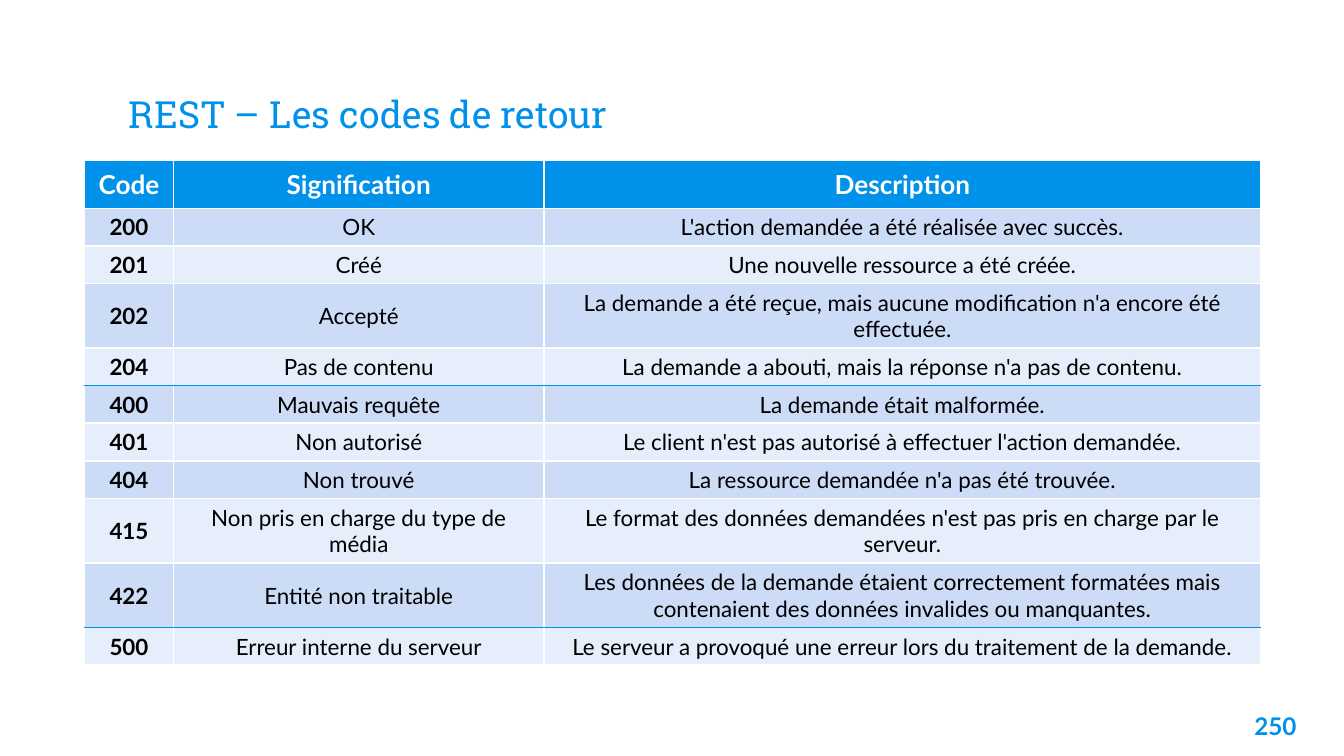
"""Build the slide listing the REST return codes."""
from lxml import etree
from pptx import Presentation
from pptx import util as u
from pptx.dml.color import RGBColor
from pptx.enum import text
from pptx.oxml import ns

BLUE, WHITE, BLACK = "0091EA", "FFFFFF", "000000"
BANDS = ["CCDCF7", "E7EEFB"]
SLIDE_W = 10
SLIDE_H = SLIDE_W * 9 / 16
TITLE = "REST – Les codes de retour"
PAGE = "250"
HEADER = ("Code", "Signification", "Description")
CODES = [
    ("200", "OK", "L'action demandée a été réalisée avec succès."),
    ("201", "Créé", "Une nouvelle ressource a été créée."),
    ("202", "Accepté", "La demande a été reçue, mais aucune modification n'a encore été effectuée."),
    ("204", "Pas de contenu", "La demande a abouti, mais la réponse n'a pas de contenu."),
    ("400", "Mauvais requête", "La demande était malformée."),
    ("401", "Non autorisé", "Le client n'est pas autorisé à effectuer l'action demandée."),
    ("404", "Non trouvé", "La ressource demandée n'a pas été trouvée."),
    ("415", "Non pris en charge du type de média",
     "Le format des données demandées n'est pas pris en charge par le serveur."),
    ("422", "Entité non traitable",
     "Les données de la demande étaient correctement formatées mais "
     "contenaient des données invalides ou manquantes."),
    ("500", "Erreur interne du serveur",
     "Le serveur a provoqué une erreur lors du traitement de la demande."),
]
COL_WIDTHS = [0.66, 2.76, 5.33]
HEADER_H, LINE_H, TWO_LINE_H = 0.36, 0.28, 0.48
TWO_LINE_CODES = {"202", "415", "422"}


def rgb(color):
    return RGBColor.from_string(color)


def style(p, font, size, color, bold=False, align=text.PP_ALIGN.CENTER):
    p.alignment = align
    for r in p.runs:
        r.font.name, r.font.size, r.font.bold = font, u.Pt(size), bold
        r.font.color.rgb = rgb(color)


def add_text(s, box, content, anchor):
    tf = s.shapes.add_textbox(*map(u.Inches, box)).text_frame
    tf.word_wrap, tf.vertical_anchor = True, anchor
    tf.margin_left = tf.margin_right = tf.margin_top = tf.margin_bottom = u.Inches(0.1)
    tf.text = content
    return tf.paragraphs[0]


def set_borders(cell, top, bottom):
    tc_pr = cell._tc.get_or_add_tcPr()
    for side, color in [("L", WHITE), ("R", WHITE), ("T", top), ("B", bottom)]:
        ln = etree.SubElement(tc_pr, ns.qn(f"a:ln{side}"), w=str(u.Pt(1)))
        fill = etree.SubElement(ln, ns.qn("a:solidFill"))
        etree.SubElement(fill, ns.qn("a:srgbClr"), val=color)


def fill_cell(cell, content, fill, margin, size, color, bold):
    cell.fill.solid()
    cell.fill.fore_color.rgb = rgb(fill)
    cell.vertical_anchor = text.MSO_ANCHOR.MIDDLE
    cell.margin_left = cell.margin_right = u.Inches(0.1)
    cell.margin_top = cell.margin_bottom = u.Inches(margin)
    cell.text_frame.text = content
    style(cell.text_frame.paragraphs[0], "Lato", size, color, bold)


def add_codes_table(s):
    rows = [HEADER] + CODES
    heights = [HEADER_H] + [TWO_LINE_H if c[0] in TWO_LINE_CODES else LINE_H for c in CODES]
    box = (0.63, 1.19, sum(COL_WIDTHS), sum(heights))
    table = s.shapes.add_table(len(rows), len(HEADER), *map(u.Inches, box)).table
    for column, width in zip(table.columns, COL_WIDTHS):
        column.width = u.Inches(width)
    families = [row[0][0] for row in rows]
    for i, row in enumerate(rows):
        table.rows[i].height = u.Inches(heights[i])
        top = BLUE if i > 1 and families[i] != families[i - 1] else WHITE
        ends_family = 0 < i < len(rows) - 1 and families[i] != families[i + 1]
        for j, content in enumerate(row):
            cell = table.cell(i, j)
            set_borders(cell, top, BLUE if ends_family else WHITE)
            if i == 0:
                fill_cell(cell, content, BLUE, 0.05, 14, WHITE, True)
            else:
                fill_cell(cell, content, BANDS[(i - 1) % 2], 0.04, 12, BLACK, j == 0)


def main():
    prs = Presentation()
    prs.slide_width, prs.slide_height = u.Inches(SLIDE_W), u.Inches(SLIDE_H)
    s = prs.slides.add_slide(prs.slide_layouts[6])
    p = add_text(s, (9.19, 5.19, 0.6, 0.43), PAGE, text.MSO_ANCHOR.TOP)
    p.space_after = u.Pt(6)
    style(p, "Lato", 13, BLUE, True)
    add_codes_table(s)
    p = add_text(s, (0.86, 0.34, 8.28, 0.77), TITLE, text.MSO_ANCHOR.BOTTOM)
    style(p, "Roboto Slab", 20, BLUE, align=text.PP_ALIGN.LEFT)
    prs.save("out.pptx")


if __name__ == "__main__":
    main()
